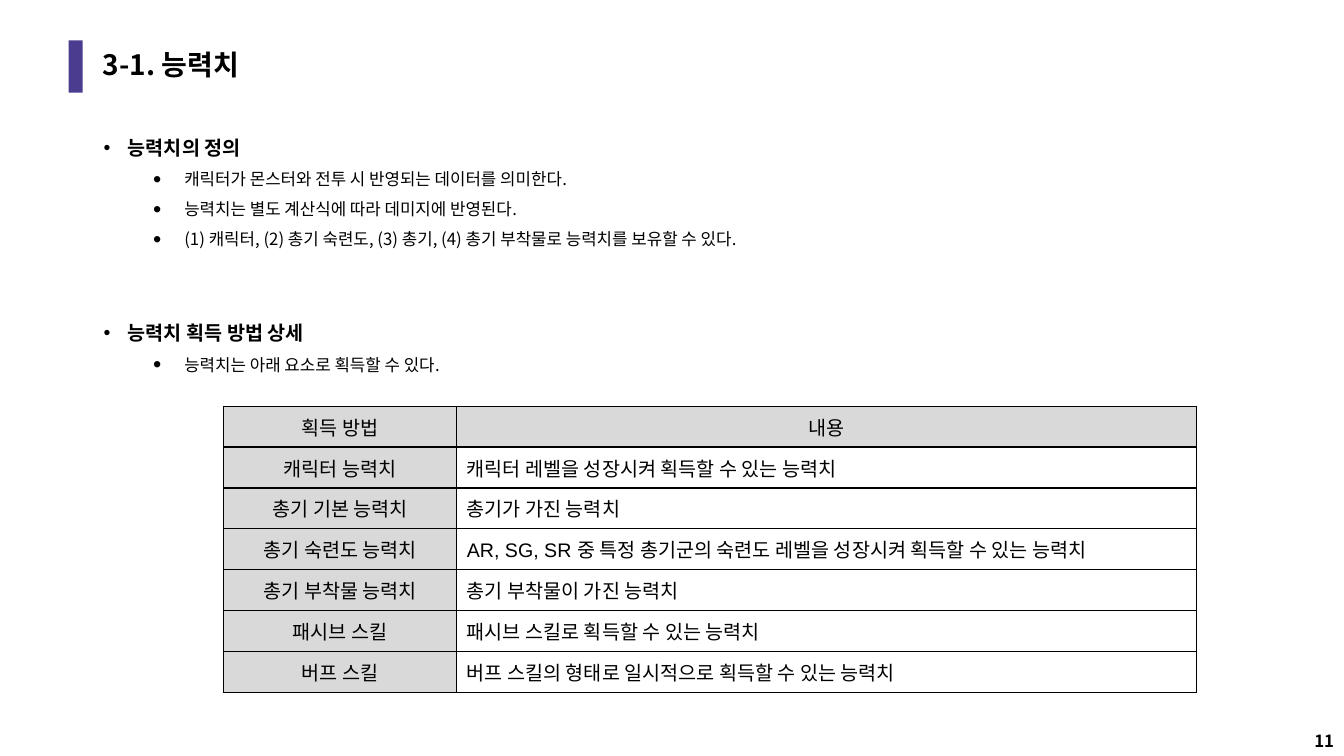
from lxml import etree
from pptx import Presentation
from pptx.dml.color import RGBColor
from pptx.enum.shapes import MSO_SHAPE
from pptx.enum.text import MSO_ANCHOR as ANCHOR, PP_ALIGN as ALIGN
from pptx.oxml.ns import qn
from pptx.util import Pt

PX = 9144  # 100 px to the inch
W, H = 1333, 750
COLORS = {"text": "000000", "accent": "4B3C8F", "head": "D9D9D9", "white": "FFFFFF"}
KOREAN = "Noto Sans CJK KR"

SECTIONS = [
    ("능력치의 정의", [
        "캐릭터가 몬스터와 전투 시 반영되는 데이터를 의미한다.",
        "능력치는 별도 계산식에 따라 데미지에 반영된다.",
        "(1) 캐릭터, (2) 총기 숙련도, (3) 총기, (4) 총기 부착물로 능력치를 보유할 수 있다.",
    ]),
    ("능력치 획득 방법 상세", ["능력치는 아래 요소로 획득할 수 있다."]),
]
SOURCES = [
    ("획득 방법", "내용"),
    ("캐릭터 능력치", "캐릭터 레벨을 성장시켜 획득할 수 있는 능력치"),
    ("총기 기본 능력치", "총기가 가진 능력치"),
    ("총기 숙련도 능력치", "AR, SG, SR 중 특정 총기군의 숙련도 레벨을 성장시켜 획득할 수 있는 능력치"),
    ("총기 부착물 능력치", "총기 부착물이 가진 능력치"),
    ("패시브 스킬", "패시브 스킬로 획득할 수 있는 능력치"),
    ("버프 스킬", "버프 스킬의 형태로 일시적으로 획득할 수 있는 능력치"),
]


def rgb(name):
    return RGBColor.from_string(COLORS[name])


def px(*lengths):
    return [n * PX for n in lengths]


def write(p, text, size=12, bold=False, font=KOREAN, align=ALIGN.LEFT,
          spacing=1.0, before=0):
    p.alignment, p.line_spacing, p.space_before = align, spacing, Pt(before)
    r = p.add_run()
    r.text = text
    r.font.size, r.font.bold, r.font.name = Pt(size), bold, font
    r.font.color.rgb = rgb("text")
    etree.SubElement(r.font._element, qn("a:ea"), typeface=KOREAN)


def set_bullet(p, left, hang, percent=100):
    pPr = p._p.get_or_add_pPr()
    pPr.set("marL", str(left * PX))
    pPr.set("indent", str(-hang * PX))
    color = etree.SubElement(pPr, qn("a:buClr"))
    etree.SubElement(color, qn("a:srgbClr"), val=COLORS["text"])
    etree.SubElement(pPr, qn("a:buSzPct"), val=str(percent * 1000))
    etree.SubElement(pPr, qn("a:buFont"), typeface="Arial")
    etree.SubElement(pPr, qn("a:buChar"), char="•")


def add_text_frame(s, box, anchor):
    tf = s.shapes.add_textbox(*px(*box)).text_frame
    tf.word_wrap, tf.vertical_anchor = True, anchor
    return tf


def add_header(s, x, y, w, h):
    bar = s.shapes.add_shape(MSO_SHAPE.RECTANGLE, *px(x, y, 14, h))
    bar.shadow.inherit = False
    bar.fill.solid()
    bar.fill.fore_color.rgb = rgb("accent")
    bar.line.fill.background()
    tf = add_text_frame(s, (x + 24, y, w - 24, h), ANCHOR.MIDDLE)
    write(tf.paragraphs[0], "3-1. 능력치", size=20, bold=True, spacing=0.9)


def add_sections(s, *box):
    tf = add_text_frame(s, box, ANCHOR.TOP)
    for i, (heading, points) in enumerate(SECTIONS):
        p = tf.add_paragraph() if i else tf.paragraphs[0]
        write(p, heading, size=14, bold=True, spacing=1.5, before=43 if i else 0)
        set_bullet(p, 25, 24)
        for point in points:
            p = tf.add_paragraph()
            p.level = 1
            write(p, point, before=7)
            set_bullet(p, 81, 31, percent=140)


def set_borders(cell):
    tcPr = cell._tc.get_or_add_tcPr()
    for i, side in enumerate(("lnL", "lnR", "lnT", "lnB")):
        ln = etree.Element(qn("a:" + side), w=str(Pt(1)))
        fill = etree.SubElement(ln, qn("a:solidFill"))
        etree.SubElement(fill, qn("a:srgbClr"), val=COLORS["text"])
        tcPr.insert(i, ln)


def add_sources_table(s, x, y, w, h):
    table = s.shapes.add_table(len(SOURCES), 2, *px(x, y, w, h)).table
    table.columns[0].width, table.columns[1].width = px(231, w - 231)
    for i, row in enumerate(SOURCES):
        table.rows[i].height = h * PX // len(SOURCES)
        for j, text in enumerate(row):
            cell = table.cell(i, j)
            is_head = i == 0 or j == 0
            cell.vertical_anchor = ANCHOR.MIDDLE
            cell.fill.solid()
            cell.fill.fore_color.rgb = rgb("head" if is_head else "white")
            set_borders(cell)
            write(cell.text_frame.paragraphs[0], text, size=14, font="Arial",
                  align=ALIGN.CENTER if is_head else ALIGN.LEFT)


def add_page_number(s, *box):
    tf = add_text_frame(s, box, ANCHOR.BOTTOM)
    write(tf.paragraphs[0], "11", bold=True, align=ALIGN.RIGHT)


def main():
    prs = Presentation()
    prs.slide_width, prs.slide_height = px(W, H)
    s = prs.slides.add_slide(prs.slide_layouts[6])
    add_page_number(s, W - 92, H - 40, 92, 40)
    add_header(s, 68, 40, 1174, 52)
    add_sections(s, 92, 118, 1150, 331)
    add_sources_table(s, 222, 403, 965, 284)
    prs.save("out.pptx")


if __name__ == "__main__":
    main()
